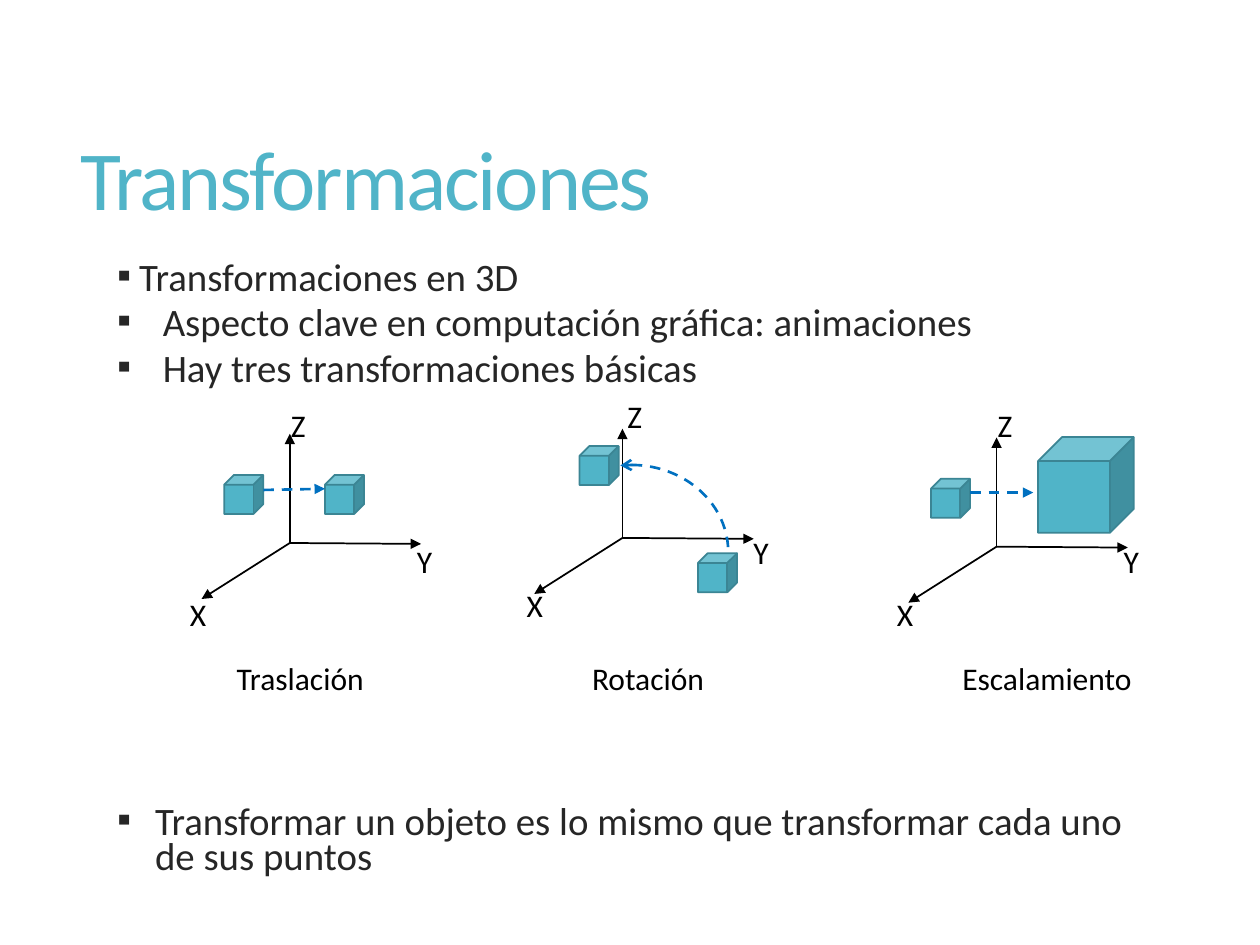
from dataclasses import dataclass

from pptx import Presentation
from pptx.dml.color import RGBColor
from pptx.enum.dml import MSO_LINE
from pptx.enum.shapes import MSO_CONNECTOR, MSO_SHAPE
from pptx.enum.text import MSO_ANCHOR, MSO_AUTO_SIZE, PP_ALIGN
from pptx.oxml.xmlchemy import OxmlElement
from pptx.util import Pt

DASH, STRAIGHT = MSO_LINE.DASH, MSO_CONNECTOR.STRAIGHT
CUBE, ARC = MSO_SHAPE.CUBE, MSO_SHAPE.ARC
TOP, MIDDLE = MSO_ANCHOR.TOP, MSO_ANCHOR.MIDDLE
NO_FIT, LEFT = MSO_AUTO_SIZE.NONE, PP_ALIGN.LEFT


@dataclass(frozen=True)
class Theme:
    """Colours, font and type sizes of the deck."""
    accent: RGBColor = RGBColor(0x50, 0xB4, 0xC8)
    edge: RGBColor = RGBColor(0x3B, 0x85, 0x94)
    motion: RGBColor = RGBColor(0x00, 0x70, 0xC0)
    ink: RGBColor = RGBColor(0, 0, 0)
    text: RGBColor = RGBColor(0x26, 0x26, 0x26)
    font: str = "Calibri"
    title_size: float = 48
    body_size: float = 22.2
    label_size: float = 18


THEME = Theme()
SMALL, LARGE = 22.3, 54.7
# Text, level, left margin, space before
BULLETS = [
    ("Transformaciones en 3D", 0, 12.5, 13),
    ("Aspecto clave en computación gráfica: animaciones", 1, 26, 6),
    ("Hay tres transformaciones básicas", 1, 26, 6),
    ("Transformar un objeto es lo mismo que transformar cada uno de sus puntos",
     1, 21.6, 239),
]
AXIS_TIPS = [(-50.4, 32), (75, 0.5), (0, -62.4)]
AXIS_LABELS = {"X": (0, 108), "Y": (129.6, 77.8), "Z": (57.6, 0)}
# Places inside a panel are measured from its top left corner.
PANELS = [
    dict(corner=(101.5, 228.2), origin=(64.1, 82.1),
         cubes=[(26.6, 43.2, SMALL), (84.2, 43.2, SMALL)],
         arrow=((49, 51.8), (84.2, 51.1)),
         caption=("Traslación", 26.6, 144.7, 87.1)),
    dict(corner=(293.8, 223.2), origin=(61.9, 84.2),
         cubes=[(37.4, 31.7, SMALL), (105.1, 92.9, SMALL)],
         arc=(11.5, 42.5, 110.9, 99.4),
         caption=("Rotación", 37.4, 149.8, 87.1)),
    dict(corner=(505.4, 228.2), origin=(64.1, 84.2),
         cubes=[(26.6, 45.4, SMALL), (87.8, 21.6, LARGE)],
         arrow=((49, 53.3), (85, 53.3)),
         caption=("Escalamiento", 37.4, 144.7, 112.3)),
]


def set_values(target, values):
    """Set every attribute named in a dict of format values."""
    for name, value in values.items():
        setattr(target, name, value)


def place(box, left, top, width, height):
    """Move and size a box, in points."""
    set_values(box, dict(left=Pt(left), top=Pt(top),
                         width=Pt(width), height=Pt(height)))


def write(para, words, size, colour):
    """Add one formatted span to a paragraph."""
    span = para.add_run()
    span.text = words
    set_values(span.font, dict(name=THEME.font, size=Pt(size), bold=False))
    span.font.color.rgb = colour
    return span


def style_line(shape, colour, width, end=None, head="triangle", dashed=False):
    """Format an outline, with an arrowhead at the named end."""
    shape.line.color.rgb = colour
    shape.line.width = Pt(width)
    if dashed:
        shape.line.dash_style = DASH
    if end:
        tip = OxmlElement(f"a:{end}")
        tip.set("type", head)
        shape.element.spPr.get_or_add_ln().append(tip)


def add_arrow(page, start, finish, **line):
    """Draw a straight arrow between two points."""
    arrow = page.shapes.add_connector(
        STRAIGHT, *(Pt(value) for value in (*start, *finish)))
    style_line(arrow, end="tailEnd", **line)
    arrow.element.spPr.append(OxmlElement("a:effectLst"))


def add_label(page, words, left, top, width):
    """Add a one-line text box."""
    box = page.shapes.add_textbox(Pt(left), Pt(top), Pt(width), Pt(29))
    box.text_frame.word_wrap = True
    write(box.text_frame.paragraphs[0], words, THEME.label_size, THEME.ink)


def add_shape(page, kind, left, top, width, height):
    """Add a preset shape without shadow."""
    shape = page.shapes.add_shape(kind, Pt(left), Pt(top), Pt(width), Pt(height))
    shape.shadow.inherit = False
    return shape


def add_title(page, left, top, width, height):
    """Fill the title placeholder."""
    box = page.shapes.title
    place(box, left, top, width, height)
    set_values(box.text_frame, dict(vertical_anchor=MIDDLE, auto_size=NO_FIT))
    para = box.text_frame.paragraphs[0]
    set_values(para, dict(alignment=LEFT, line_spacing=0.9))
    span = write(para, "Transformaciones", THEME.title_size, THEME.accent)
    span.font._element.set("spc", "-120")


def add_bullets(page, left, top, width, height):
    """Fill the body placeholder, leaving a gap for the diagrams."""
    box = page.placeholders[1]
    place(box, left, top, width, height)
    frame = box.text_frame
    set_values(frame, dict(vertical_anchor=TOP, auto_size=NO_FIT))
    for index, (words, level, margin, gap) in enumerate(BULLETS):
        para = frame.add_paragraph() if index else frame.paragraphs[0]
        set_values(para, dict(level=level, alignment=LEFT, line_spacing=0.75,
                              space_before=Pt(gap), space_after=Pt(0)))
        props = para._p.get_or_add_pPr()
        props.set("marL", str(Pt(margin)))
        props.set("indent", str(-Pt(margin)))
        for tag, key, value in (("a:buFont", "typeface", THEME.font),
                                ("a:buChar", "char", "▪")):
            mark = OxmlElement(tag)
            mark.set(key, value)
            props.append(mark)
        write(para, words, THEME.body_size, THEME.text)


def add_panel(page, corner, origin, cubes, caption, arrow=None, arc=None):
    """Draw axes, cubes, the motion between them and a caption."""
    def shift(point):
        return corner[0] + point[0], corner[1] + point[1]

    center = shift(origin)
    for tip in AXIS_TIPS:
        add_arrow(page, center, (center[0] + tip[0], center[1] + tip[1]),
                  colour=THEME.ink, width=1)
    for left, top, size in cubes:
        cube = add_shape(page, CUBE, *shift((left, top)), size, size)
        cube.fill.solid()
        cube.fill.fore_color.rgb = THEME.accent
        style_line(cube, THEME.edge, 1)
    if arrow:
        add_arrow(page, *map(shift, arrow), colour=THEME.motion, width=1.5,
                  dashed=True)
    if arc:
        curve = add_shape(page, ARC, *shift(arc[:2]), *arc[2:])
        curve.fill.background()
        curve.adjustments[0], curve.adjustments[1] = 157.72, 1.05
        style_line(curve, THEME.motion, 1.5, "headEnd", "arrow", True)
    words, left, top, width = caption
    add_label(page, words, *shift((left, top)), width)
    for letter, point in AXIS_LABELS.items():
        add_label(page, letter, *shift(point), 26.6)


def build():
    """Build and save the deck."""
    deck = Presentation()
    deck.slide_width, deck.slide_height = Pt(720), Pt(540)
    page = deck.slides.add_slide(deck.slide_layouts[1])
    add_title(page, 38.9, 39.6, 636.5, 130.3)
    add_bullets(page, 59.8, 146.9, 594, 375.1)
    for panel in PANELS:
        add_panel(page, **panel)
    deck.save("out.pptx")


build()
